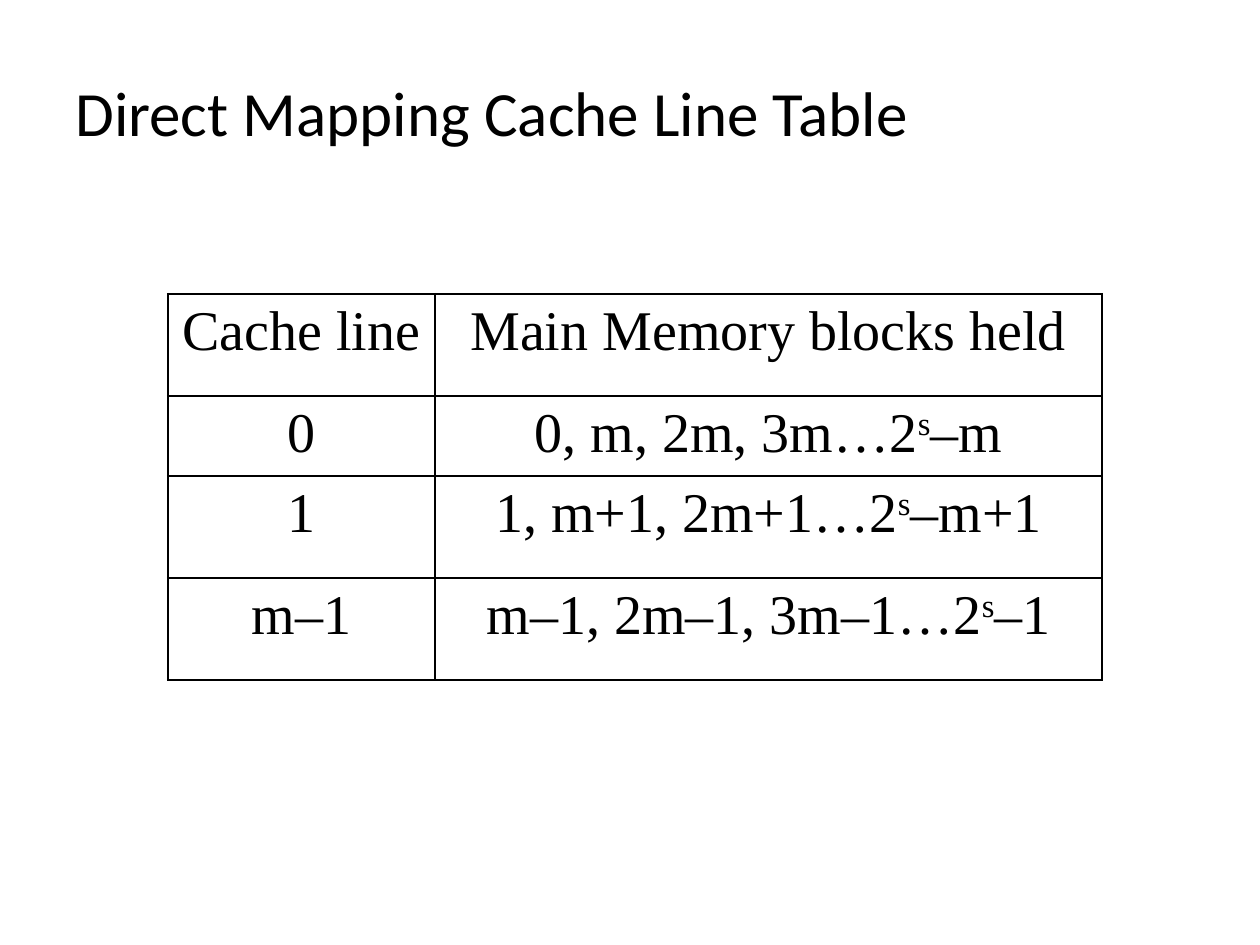
from dataclasses import dataclass

from lxml import etree
from pptx import Presentation
from pptx.dml.color import RGBColor
from pptx.enum.text import MSO_ANCHOR, PP_ALIGN
from pptx.oxml.ns import qn
from pptx.util import Emu, Pt

LEFT, CENTER = PP_ALIGN.LEFT, PP_ALIGN.CENTER
TOP, MIDDLE = MSO_ANCHOR.TOP, MSO_ANCHOR.MIDDLE
PX_PER_INCH = 126
BLACK = "000000"
BORDER_PT = 1.47
HANGING = 48


@dataclass
class CacheRow:
    height: int
    line: str
    blocks: str


# Text between two carets is raised.
ROWS = [
    CacheRow(102, "Cache line", "Main Memory blocks held"),
    CacheRow(80, "0", "0, m, 2m, 3m…2^s^–m"),
    CacheRow(102, "1", "1, m+1, 2m+1…2^s^–m+1"),
    CacheRow(102, "m–1", "m–1, 2m–1, 3m–1…2^s^–1"),
]
COLUMN_WIDTHS = [267, 667]


def px(n: int) -> Emu:
    return Emu(round(n * 914400 / PX_PER_INCH))


def color(value: str) -> RGBColor:
    return RGBColor.from_string(value)


def write(tf, text: str, *, font: str, size: int, align=LEFT,
          spacing: float = 1.0, hanging: int = 0) -> None:
    """Fill the first paragraph; every second piece between carets is superscript."""
    p = tf.paragraphs[0]
    p.alignment = align
    p.line_spacing = spacing
    if hanging:
        pPr = p._p.get_or_add_pPr()
        pPr.set("marL", str(px(hanging)))
        pPr.set("indent", str(-px(hanging)))
    for i, piece in enumerate(text.split("^")):
        r = p.add_run()
        r.text = piece
        r.font.name = font
        r.font.size = Pt(size)
        r.font.color.rgb = color(BLACK)
        if i % 2:
            r._r.get_or_add_rPr().set("baseline", "30000")


def add_borders(cell) -> None:
    tcPr = cell._tc.get_or_add_tcPr()
    for i, side in enumerate(("lnL", "lnR", "lnT", "lnB")):
        ln = etree.Element(qn(f"a:{side}"), w=str(Pt(BORDER_PT)))
        fill = etree.SubElement(ln, qn("a:solidFill"))
        etree.SubElement(fill, qn("a:srgbClr"), val=BLACK)
        tcPr.insert(i, ln)


def add_title(slide, text: str) -> None:
    sp = slide.shapes.add_textbox(px(63), px(38), px(1134), px(157))
    tf = sp.text_frame
    tf.word_wrap = True
    tf.vertical_anchor = MIDDLE
    write(tf, text, font="Calibri", size=36, spacing=0.9)


def add_cache_table(slide, left: int, top: int, rows: list[CacheRow]) -> None:
    width, height = sum(COLUMN_WIDTHS), sum(row.height for row in rows)
    table = slide.shapes.add_table(len(rows), len(COLUMN_WIDTHS), px(left),
                                   px(top), px(width), px(height)).table
    table.first_row = table.horz_banding = False
    for column, column_width in zip(table.columns, COLUMN_WIDTHS):
        column.width = px(column_width)
    for i, row in enumerate(rows):
        table.rows[i].height = px(row.height)
        for j, text in enumerate((row.line, row.blocks)):
            cell = table.cell(i, j)
            cell.fill.background()
            cell.vertical_anchor = TOP
            add_borders(cell)
            write(cell.text_frame, text, font="Times New Roman", size=32,
                  align=CENTER, hanging=HANGING)


def main() -> None:
    prs = Presentation()
    prs.slide_width, prs.slide_height = px(1260), px(945)
    slide = prs.slides.add_slide(prs.slide_layouts[6])
    add_title(slide, "Direct Mapping Cache Line Table")
    add_cache_table(slide, 168, 294, ROWS)
    prs.save("out.pptx")


if __name__ == "__main__":
    main()
